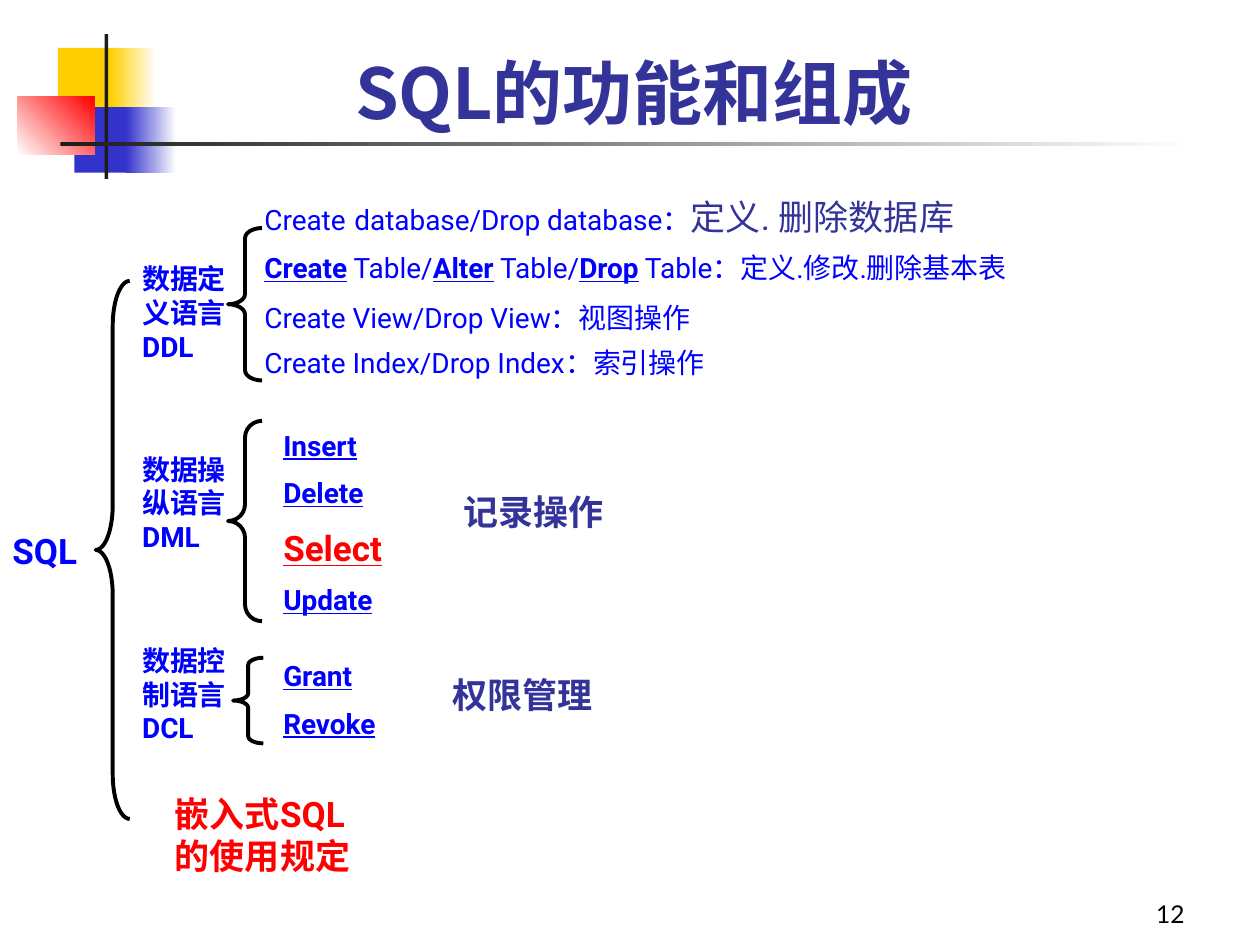
from pptx import Presentation
from pptx.dml.color import RGBColor
from pptx.enum.shapes import MSO_SHAPE as Preset
from pptx.enum.text import MSO_ANCHOR as Anchor, PP_ALIGN as Align
from pptx.oxml.ns import qn
from pptx.util import Inches, Pt
from lxml.etree import SubElement

THEME = {
    "latin": "Roboto", "chinese": "Noto Sans CJK SC", "number": "Lato",
    "title": 40, "large": 20, "body": 16, "page": 14,
    "blue": "0000FF", "navy": "333399", "red": "FF0000", "black": "000000",
    "yellow": "FFCF01", "indigo": "3333CC", "ink": "1C1C1C", "white": "FFFFFF",
}

# Each run is (text, format changes); each paragraph is a list of runs.
KEYWORD = {"bold": True, "underline": True}
SELECT = {"size": "large", "color": "red"}

DECORATION = [
    ((0.46, 0.38, 0.48, 0.52), ["yellow"], 0),
    ((0.88, 0.38, 0.36, 0.52), ["yellow", "white"], 0),
    ((0.59, 0.85, 0.46, 0.52), ["indigo"], 0),
    ((1, 0.85, 0.4, 0.52), ["indigo", "white"], 0),
    ((0.14, 0.77, 0.61, 0.46), ["white", "red"], 45),
    ((0.83, 0.27, 0.03, 1.15), ["ink"], 0),
    ((0.48, 1.13, 9, 0.03), ["ink", "white"], 0),
]

BRACES = [
    ((0.76, 2.23, 0.27, 4.27), 1.31),
    ((1.81, 1.81, 0.27, 1.21), 0.3),
    ((1.81, 3.34, 0.27, 1.59), 0.49),
    ((1.85, 5.22, 0.24, 0.68), 0.24),
]

LANGUAGES = [("数据定义语言DDL", 2.03), ("数据操纵语言DML", 3.54), ("数据控制语言DCL", 5.06)]

DEFINITIONS = [
    (1.5, [("Create", {}), (" ", SELECT), ("database/Drop database：", {}),
           ("定义. 删除数据库", {"size": "large", "color": "navy"})]),
    (1.94, [("Create", KEYWORD), (" Table/", {}), ("Alter", KEYWORD), (" Table/", {}),
            ("Drop", KEYWORD), (" Table：定义.修改.删除基本表", {})]),
    (2.34, [("Create View/Drop View：视图操作", {})]),
    (2.69, [("Create Index/Drop Index：索引操作", {})]),
]

COMMANDS = [
    ((2.15, 3.35, 1.4, 1.68),
     [[("Insert", {})], [("Delete", {})], [("Select", SELECT)], [("Update", {})]]),
    ((2.15, 5.18, 1.54, 0.77), [[("Grant", {})], [("Revoke", {})]]),
]

HEADINGS = [
    ("SQL", (0, 4.15, 1.03, 0.43), "blue"),
    ("嵌入式SQL的使用规定", (1.29, 6.24, 1.73, 0.77), "red"),
    ("记录操作", (3.58, 3.84, 2.89, 0.43), "navy"),
    ("权限管理", (3.49, 5.3, 2.89, 0.43), "navy"),
]


def rgb(name):
    """Return the theme colour of that name."""
    return RGBColor.from_string(THEME[name])


def add_text(slide, box, content, align=Align.LEFT, anchor=Anchor.TOP, **base):
    """Add a text box from a string or a list of paragraphs of runs."""
    paragraphs = [[(content, {})]] if isinstance(content, str) else content
    frame = slide.shapes.add_textbox(*map(Inches, box)).text_frame
    frame.word_wrap = True
    frame.vertical_anchor = anchor
    for index, runs in enumerate(paragraphs):
        paragraph = frame.paragraphs[0] if index == 0 else frame.add_paragraph()
        paragraph.alignment = align
        for words, changes in runs:
            style = {"size": "body", "color": "blue", "face": "latin"} | base | changes
            run = paragraph.add_run()
            run.text = words
            run.font.size = Pt(THEME[style["size"]])
            run.font.color.rgb = rgb(style["color"])
            run.font.bold = style.get("bold", False)
            run.font.underline = style.get("underline", False)
            run.font.name = THEME[style["face"]]
            east_asian = SubElement(run.font._element, qn("a:ea"))
            east_asian.set("typeface", THEME["chinese"])
        if index:
            paragraph.space_before = Pt(THEME[style["size"]] / 2)


def add_block(slide, box, colors, angle):
    """Add a borderless rectangle with a plain or two-colour fill."""
    block = slide.shapes.add_shape(Preset.RECTANGLE, *map(Inches, box))
    block.shadow.inherit = False
    block.line.fill.background()
    if len(colors) == 1:
        block.fill.solid()
        block.fill.fore_color.rgb = rgb(colors[0])
        return
    block.fill.gradient()
    block.fill.gradient_angle = angle
    for stop, color in zip(block.fill.gradient_stops, colors):
        stop.color.rgb = rgb(color)


def add_brace(slide, box, curve):
    """Add an unfilled left brace."""
    brace = slide.shapes.add_shape(Preset.LEFT_BRACE, *map(Inches, box))
    brace.shadow.inherit = False
    brace.fill.background()
    brace.line.color.rgb = rgb("black")
    brace.line.width = Pt(2.25)
    brace.adjustments[0] = curve
    brace.adjustments[1] = 0.5


def main():
    """Build and save the slide."""
    deck = Presentation()
    deck.slide_width, deck.slide_height = Inches(10), Inches(7.5)
    slide = deck.slides.add_slide(deck.slide_layouts[6])
    for box, colors, angle in DECORATION:
        add_block(slide, box, colors, angle)
    add_text(slide, (0.39, 0.18, 9.28, 0.93), "SQL的功能和组成", align=Align.CENTER,
             anchor=Anchor.BOTTOM, size="title", color="navy", face="chinese", bold=True)
    for box, curve in BRACES:
        add_brace(slide, box, curve)
    for heading, box, color in HEADINGS:
        add_text(slide, box, heading, size="large", color=color, bold=True)
    for language, top in LANGUAGES:
        add_text(slide, (1.03, top, 0.97, 0.91), language, bold=True)
    for top, runs in DEFINITIONS:
        add_text(slide, (2, top, 7.92, 0.37), [runs])
    for box, commands in COMMANDS:
        add_text(slide, box, commands, **KEYWORD)
    add_text(slide, (7.42, 6.92, 2.08, 0.5), "12", align=Align.RIGHT, anchor=Anchor.BOTTOM,
             size="page", color="black", face="number")
    deck.save("out.pptx")


if __name__ == "__main__":
    main()
